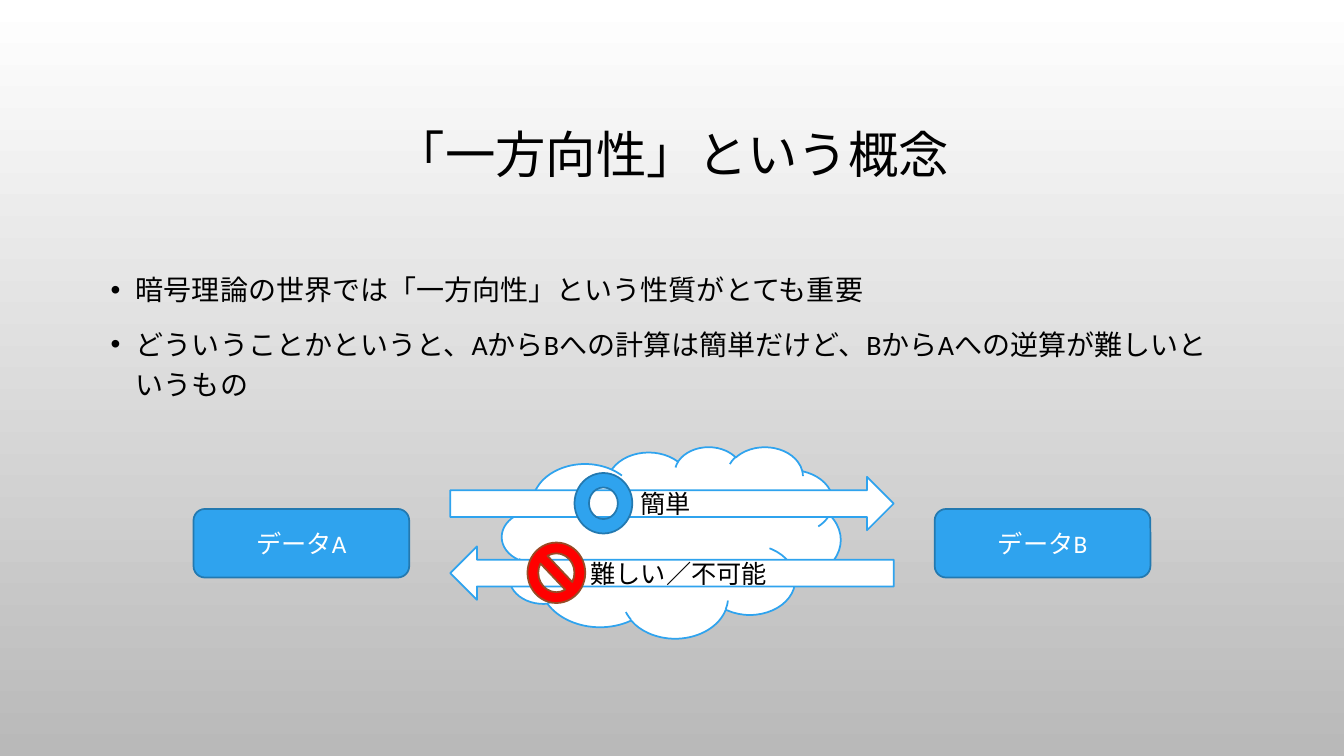
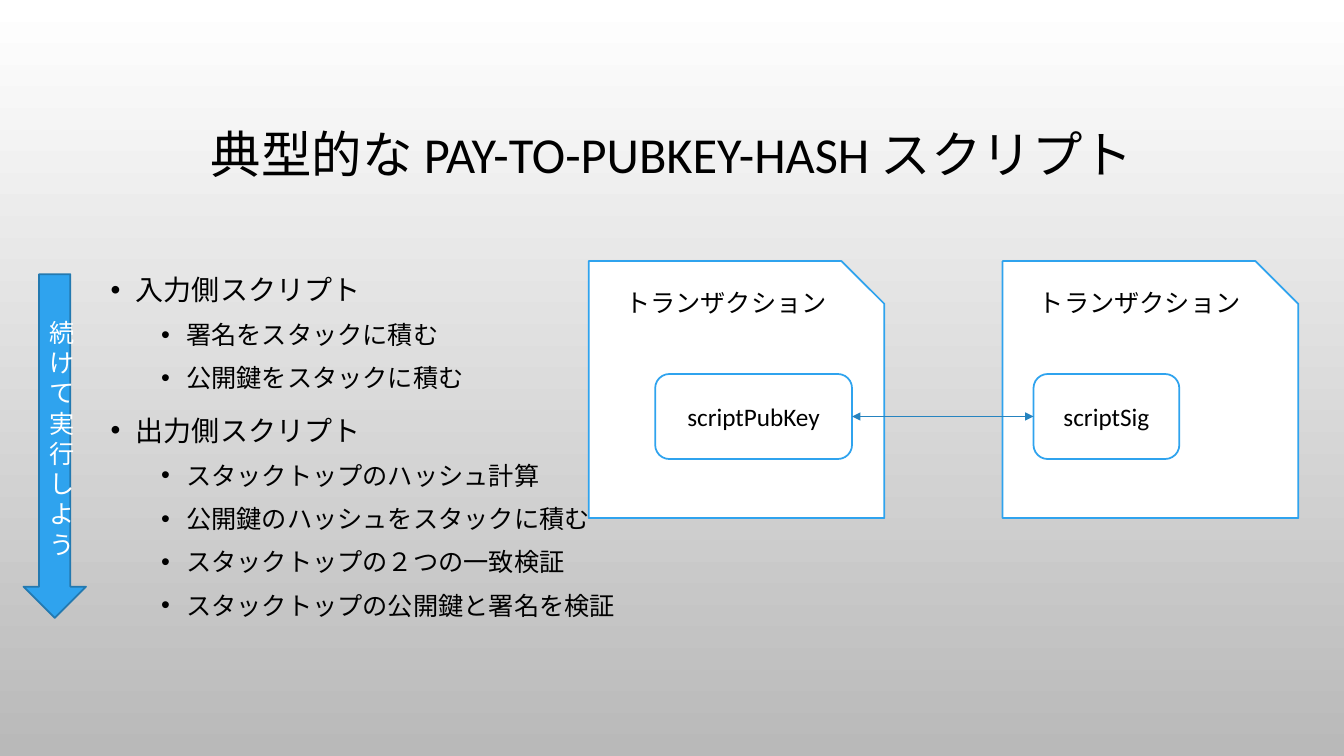
from lxml import etree
from pptx import Presentation
from pptx import util as u
from pptx.dml.color import RGBColor
from pptx.enum import lang, shapes, text
from pptx.oxml.ns import qn

HUES = {
    "ink": "000000", "paper": "FFFFFF", "shade": "B9B9B9", "blue": "2FA3EE",
    "edge": "2379B0", "link": "2683BF", "red": "FF0000", "rust": "984B26",
}
FONT = "Calibri"
WIDE, HIGH = u.Inches(13.33), u.Inches(7.5)
SOLID = ("blue", "edge", "paper")  # fill, line, text
OPEN = ("paper", "blue", "ink")
BAN = ("red", "rust", "paper")
LEVELS = [(20, 10, 0.25), (18, 5, 0.75)]  # size, space before, indent
LEFT, TOP, SPAN = 7.5, 34.53, 85
KIND = shapes.MSO_SHAPE


def hue(name):
    return RGBColor.from_string(HUES[name])


class Deck:
    """Holds the style and the current slide; lengths are percent of the slide."""

    def __init__(self):
        self.prs = Presentation()
        self.prs.slide_width, self.prs.slide_height = WIDE, HIGH
        fill = self.prs.slide_master.background.fill
        fill.gradient()
        fill.gradient_angle = 270
        for stop, name in zip(fill.gradient_stops, ("paper", "shade")):
            stop.color.rgb = hue(name)

    def area(self, x, y, w, h):
        return [round(n * side / 100)
                for n, side in zip((x, y, w, h), (WIDE, HIGH, WIDE, HIGH))]

    def style(self, para, size, ink="ink", align=text.PP_ALIGN.CENTER):
        para.alignment = align
        for run in para.runs:
            run.font.size = u.Pt(size)
            run.font.name = FONT
            run.font.color.rgb = hue(ink)
            run.font.language_id = lang.MSO_LANGUAGE_ID.JAPANESE

    def page(self, words):
        """Start a slide with a title."""
        self.slide = self.prs.slides.add_slide(self.prs.slide_layouts[5])
        title = self.slide.shapes.title
        title.left, title.top, title.width, title.height = self.area(
            LEFT, 9.07, SPAN, 23.33)
        frame = title.text_frame
        frame.text = words
        frame.vertical_anchor = text.MSO_ANCHOR.MIDDLE
        para = frame.paragraphs[0]
        para.line_spacing = 0.9
        self.style(para, 36)

    def list(self, items):
        """Add bulleted text from (level, words) pairs."""
        box = self.slide.shapes.add_textbox(*self.area(LEFT, TOP, SPAN, 49.87))
        frame = box.text_frame
        frame.word_wrap = True
        frame.text = "\n".join(words for _, words in items)
        for i, (para, (level, _)) in enumerate(zip(frame.paragraphs, items)):
            size, gap, indent = LEVELS[level]
            para.level = level
            self.bullet(para, indent)
            para.line_spacing = 1.2
            para.space_before = u.Pt(gap if i else 0)
            self.style(para, size, align=text.PP_ALIGN.LEFT)

    def bullet(self, para, indent):
        props = para._p.get_or_add_pPr()
        props.set("marL", str(u.Inches(indent)))
        props.set("indent", str(-u.Inches(0.25)))
        color = etree.SubElement(props, qn("a:buClr"))
        etree.SubElement(color, qn("a:srgbClr"), val=HUES["ink"])
        etree.SubElement(props, qn("a:buFont"), typeface="Arial")
        etree.SubElement(props, qn("a:buChar"), char="•")

    def shape(self, kind, at, look, words="", anchor=text.MSO_ANCHOR.MIDDLE):
        fill, line, ink = look
        item = self.slide.shapes.add_shape(kind, *self.area(*at))
        item.shadow.inherit = False
        item.fill.solid()
        item.fill.fore_color.rgb = hue(fill)
        item.line.color.rgb = hue(line)
        item.line.width = u.Pt(1.25)
        if words:
            frame = item.text_frame
            frame.text = words
            frame.vertical_anchor = anchor
            self.style(frame.paragraphs[0], 18, ink)
        return item

    def link(self, start, end):
        """Join the right side of one box to the left side of the next."""
        line = self.slide.shapes.add_connector(
            shapes.MSO_CONNECTOR.STRAIGHT, 0, 0, 0, 0)
        line.begin_connect(start, 3)
        line.end_connect(end, 1)
        line.line.color.rgb = hue("link")
        line.line.width = u.Pt(0.75)
        for tip in ("a:headEnd", "a:tailEnd"):
            etree.SubElement(line.line._get_or_add_ln(), qn(tip), type="triangle")
        etree.SubElement(line._element.spPr, qn("a:effectLst"))


def concept(deck):
    deck.page("「一方向性」という概念")
    deck.list([
        (0, "暗号理論の世界では「一方向性」という性質がとても重要"),
        (0, "どういうことかというと、AからBへの計算は簡単だけど、"
            "BからAへの逆算が難しいというもの"),
    ])
    deck.shape(KIND.CLOUD, (37.35, 59.07, 25.2, 25.33), OPEN)
    edge, width = 14.4, 16.05
    for x, words in ((edge, "データA"), (100 - edge - width, "データB")):
        deck.shape(KIND.ROUNDED_RECTANGLE, (x, 67.33, width, 9.07), SOLID, words)
    ways = [
        (KIND.RIGHT_ARROW, "簡単", KIND.DONUT, 42.75, SOLID),
        (KIND.LEFT_ARROW, "難しい／不可能", KIND.NO_SYMBOL, 39.25, BAN),
    ]
    for i, (arrow, words, mark, x, look) in enumerate(ways):
        y = 63.07 + 9.2 * i
        deck.shape(arrow, (33.5, y, 33, 7.07), OPEN, words)
        deck.shape(mark, (x, y - 0.5, 4.3, 8), look)


def script(deck):
    deck.page("典型的な PAY-TO-PUBKEY-HASH スクリプト")
    deck.list([
        (0, "入力側スクリプト"),
        (1, "署名をスタックに積む"),
        (1, "公開鍵をスタックに積む"),
        (0, "出力側スクリプト"),
        (1, "スタックトップのハッシュ計算"),
        (1, "公開鍵のハッシュをスタックに積む"),
        (1, "スタックトップの２つの一致検証"),
        (1, "スタックトップの公開鍵と署名を検証"),
    ])
    for x in (43.8, 74.6):
        deck.shape(KIND.SNIP_1_RECTANGLE, (x, TOP, 22, 34), OPEN,
                   "トランザクション", text.MSO_ANCHOR.TOP)
    keys = [(48.75, 14.65, "scriptPubKey"), (76.9, 10.85, "scriptSig")]
    deck.link(*[
        deck.shape(KIND.ROUNDED_RECTANGLE, (x, 49.47, w, 11.25), OPEN, words)
        for x, w, words in keys
    ])
    deck.shape(KIND.DOWN_ARROW, (1.75, 36.27, 4.65, 45.47), SOLID,
               "続けて実行しよう")


def main():
    deck = Deck()
    concept(deck)
    script(deck)
    deck.prs.save("out.pptx")


if __name__ == "__main__":
    main()
